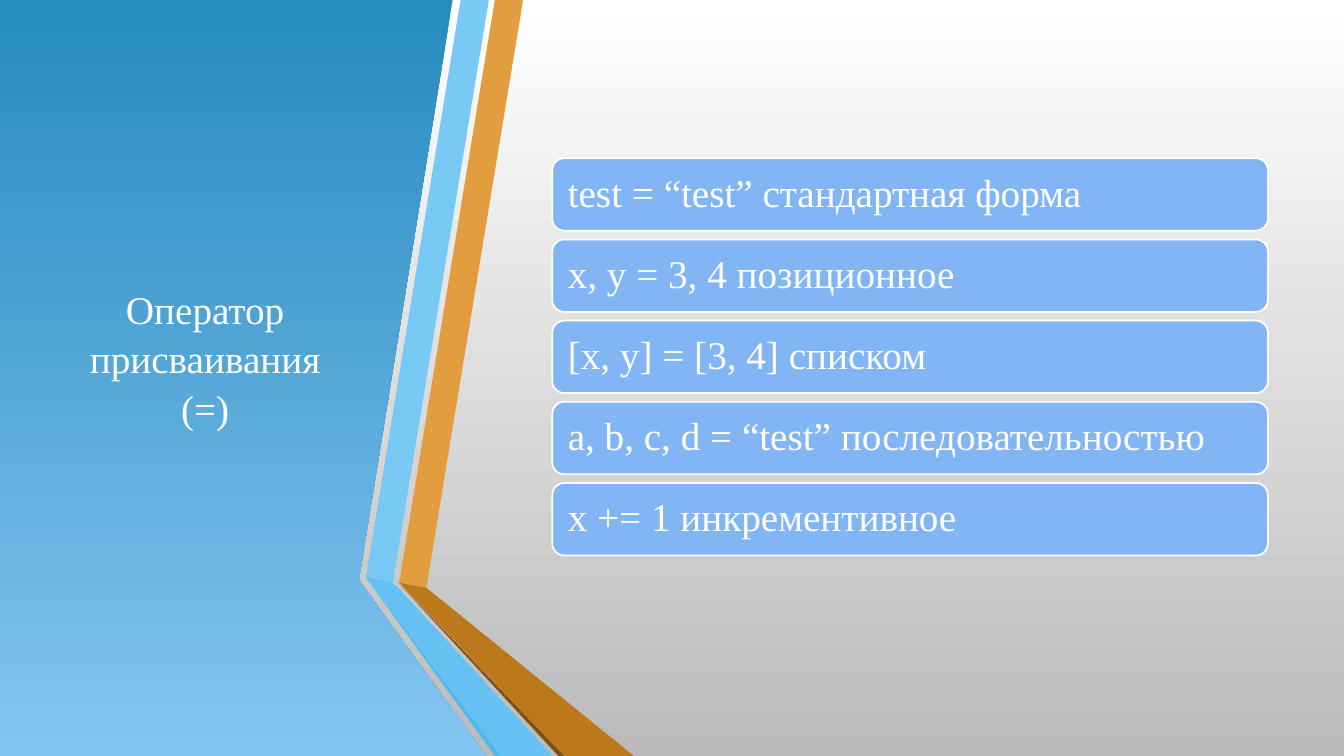
from pptx import Presentation
from pptx import util as u
from pptx.dml.color import RGBColor
from pptx.enum import shapes, text

COLORS = {
    "white": "FFFFFF", "grey": "BBBBBB",
    "panel_top": "278BBE", "panel_bottom": "84C5F1",
    "orange": "E29D3E", "brown": "BC791C", "brown_edge": "7D5013",
    "sky": "78C9F3", "sky_fold": "64C1F1", "sky_edge": "4FB8EF",
    "bar": "82B5F4",
}
FONT = "Times New Roman"
TITLE = "Оператор присваивания (=)"
FORMS = [
    "test = “test” стандартная форма",
    "x, y = 3, 4 позиционное",
    "[x, y] = [3, 4] списком",
    "a, b, c, d = “test” последовательностью",
    "x += 1 инкрементивное",
]
PANEL = [(0, 0), (323.28, 0), (256.32, 414.4), (347.04, 540), (0, 540)]
RIBBONS = [
    ("orange", [(23.76, 416.16), (43.2, 419.76), (112.32, 0), (92.16, 0)]),
    ("sky", [(87.84, 0), (67.68, 0), (0, 412.56), (19.44, 415.44)]),
    ("sky_edge", [(0, 412.56), (92.16, 540), (96.48, 540)]),
    ("brown_edge", [(23.76, 416.88), (137.52, 540), (141.84, 540)]),
    ("brown", [(23.76, 416.16), (141.84, 540), (191.52, 540), (43.2, 419.76)]),
    ("sky_fold", [(133.2, 540), (23.04, 419.76), (18.72, 416.16),
                  (19.44, 415.44), (0, 412.56), (96.48, 540)]),
]


def rgb(name):
    """Return the named colour."""
    return RGBColor.from_string(COLORS[name])


def fill_downwards(fill, top, bottom):
    """Apply a gradient running from top to bottom."""
    fill.gradient()
    fill.gradient_angle = 270
    for stop, name in zip(fill.gradient_stops, (top, bottom)):
        stop.color.rgb = rgb(name)


def add_outline(slide, left, top, points):
    """Draw a closed, borderless polygon relative to a corner."""
    corners = [(u.Pt(left + x), u.Pt(top + y)) for x, y in points]
    builder = slide.shapes.build_freeform(*corners[0], scale=1.0)
    builder.add_line_segments(corners[1:], close=True)
    outline = builder.convert_to_shape()
    outline.shadow.inherit = False
    outline.line.fill.background()
    return outline


def write(frame, wording, align, spacing):
    """Put one styled paragraph in a vertically centred frame."""
    frame.word_wrap = True
    frame.vertical_anchor = text.MSO_ANCHOR.MIDDLE
    paragraph = frame.paragraphs[0]
    paragraph.text = wording
    paragraph.alignment = align
    paragraph.line_spacing = spacing
    paragraph.font.name = FONT
    paragraph.font.size = u.Pt(28)
    paragraph.font.color.rgb = rgb("white")


def add_title_panel(slide, left, top):
    """Draw the blue side panel with the slide title."""
    panel = add_outline(slide, left, top, PANEL)
    fill_downwards(panel.fill, "panel_top", "panel_bottom")
    title = slide.shapes.add_textbox(
        u.Pt(left + 42.5), u.Pt(top + 54), u.Pt(208), u.Pt(402))
    write(title.text_frame, TITLE, text.PP_ALIGN.CENTER, 1.05)


def add_ribbons(slide, left, top):
    """Draw the folded ribbons beside the panel."""
    for color, points in RIBBONS:
        ribbon = add_outline(slide, left, top, points)
        ribbon.fill.solid()
        ribbon.fill.fore_color.rgb = rgb(color)


def add_form_bars(slide, left, top, width, height, gap):
    """Stack one rounded bar for each form of assignment."""
    for row, form in enumerate(FORMS):
        bar = slide.shapes.add_shape(
            shapes.MSO_SHAPE.ROUNDED_RECTANGLE, u.Pt(left),
            u.Pt(top + row * (height + gap)), u.Pt(width), u.Pt(height))
        bar.shadow.inherit = False
        bar.fill.solid()
        bar.fill.fore_color.rgb = rgb("bar")
        bar.line.color.rgb = rgb("white")
        bar.line.width = u.Pt(1.25)
        frame = bar.text_frame
        frame.margin_left = frame.margin_right = u.Pt(8.6)
        write(frame, form, text.PP_ALIGN.LEFT, 0.9)


def main():
    """Build and save the slide."""
    deck = Presentation()
    deck.slide_width, deck.slide_height = u.Pt(960), u.Pt(540)
    slide = deck.slides.add_slide(deck.slide_layouts[6])
    fill_downwards(slide.background.fill, "white", "grey")
    add_title_panel(slide, 0, 0)
    add_ribbons(slide, 261.36, 0)
    add_form_bars(slide, 394.5, 113, 511.2, 51.8, 6.2)
    deck.save("out.pptx")


if __name__ == "__main__":
    main()
